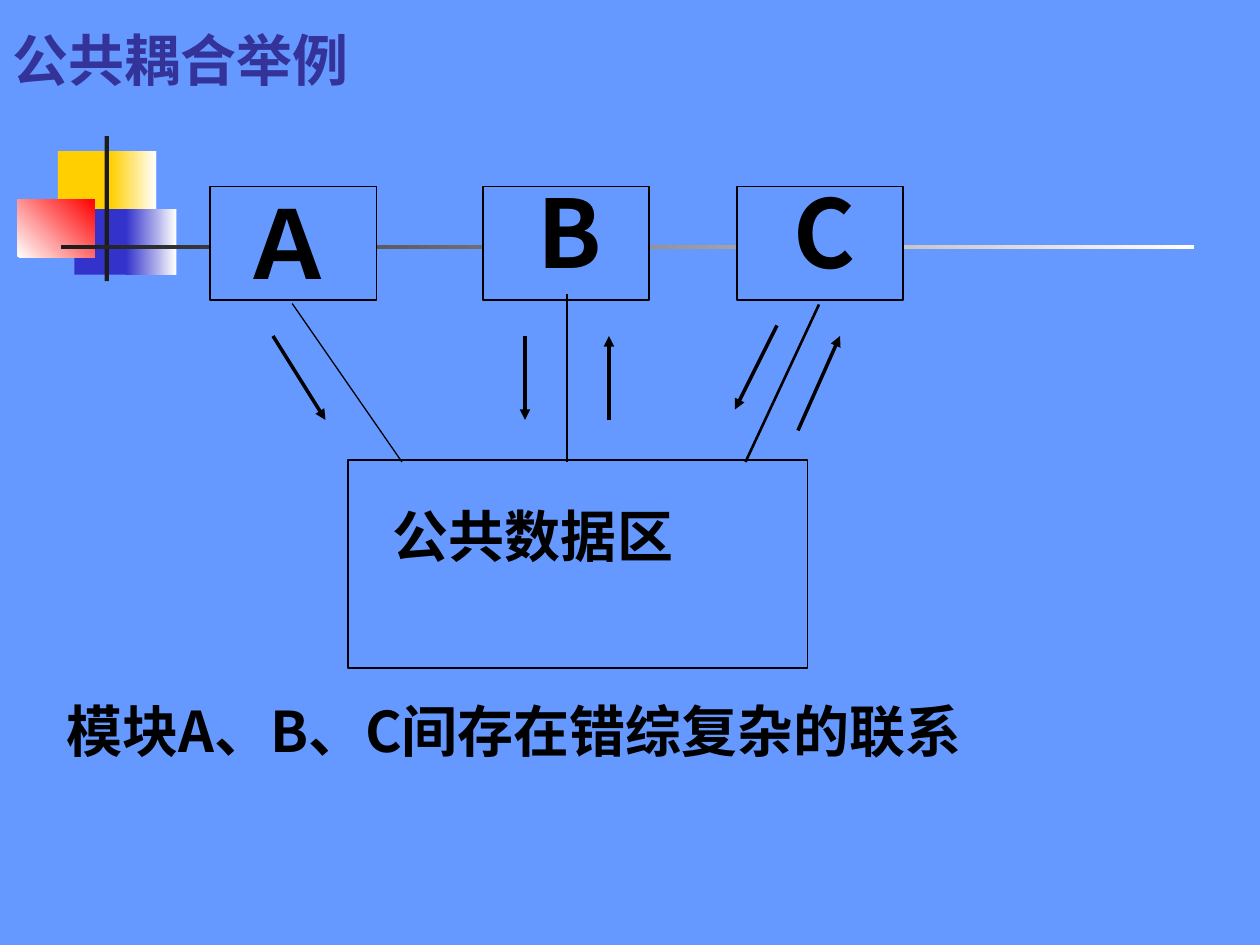
from pptx import Presentation
from pptx.dml.color import RGBColor
from pptx.enum.shapes import MSO_CONNECTOR, MSO_SHAPE
from pptx.enum.text import MSO_ANCHOR, MSO_AUTO_SIZE
from pptx.oxml.ns import qn
from pptx.util import Pt
from lxml.etree import SubElement

FONT = "Noto Sans CJK SC"
SKY = RGBColor(0x66, 0x99, 0xFF)
BLACK = RGBColor(0, 0, 0)
WHITE = RGBColor(0xFF, 0xFF, 0xFF)
CHARCOAL = RGBColor(0x1C, 0x1C, 0x1C)
YELLOW = RGBColor(0xFF, 0xCF, 0x01)
BLUE = RGBColor(0x33, 0x33, 0xCC)
RED = RGBColor(0xFF, 0, 0)
INDIGO = RGBColor(0x33, 0x33, 0x99)

# Ornament parts: position and size, first colour, optional end colour, angle
ORNAMENT = [
    ((33.1, 86.4, 34.6, 37.4), YELLOW, None, 0),
    ((63.4, 86.4, 25.9, 37.4), YELLOW, WHITE, 0),
    ((42.5, 119.5, 33.1, 37.4), BLUE, None, 0),
    ((72, 119.5, 28.8, 37.4), BLUE, WHITE, 0),
    ((10, 113.8, 44, 33.1), WHITE, RED, 45),
    ((59.8, 77.8, 2.5, 82.8), CHARCOAL, None, 0),
    ((34.6, 140.1, 648, 2.5), CHARCOAL, WHITE, 0),
]

# Modules: letter, box left, letter position and size
MODULES = [
    ("Ａ", 120.2, (130.3, 102.2, 68.4, 72)),
    ("B", 275.8, (300.2, 95.8, 41.8, 72)),
    ("C", 421.2, (446.4, 95.8, 49, 72)),
]

# Links from the modules to the data area: start, end, width
LINKS = [
    ((167, 173.5), (229.7, 264), 0.75),
    ((324, 168), (324, 264), 1.5),
    ((468, 174), (426, 264), 1.5),
]

# Directions of data flow: start, end
FLOWS = [
    ((156, 192), (186, 240)),
    ((300, 192), (300, 240)),
    ((348, 240), (348, 192)),
    ((444, 186), (420, 234)),
    ((456, 246), (480, 192)),
]


def add_rectangle(slide, bounds, color, end_color=None, angle=0, outline=None):
    shape = slide.shapes.add_shape(MSO_SHAPE.RECTANGLE, *map(Pt, bounds))
    shape.shadow.inherit = False
    if end_color is None:
        shape.fill.solid()
        shape.fill.fore_color.rgb = color
    else:
        shape.fill.gradient()
        shape.fill.gradient_angle = angle
        for stop, stop_color in zip(shape.fill.gradient_stops, (color, end_color)):
            stop.color.rgb = stop_color
    if outline is None:
        shape.line.fill.background()
    else:
        shape.line.color.rgb = outline
        shape.line.width = Pt(1)


def add_text(slide, bounds, text, size=32, color=BLACK,
             anchor=MSO_ANCHOR.TOP, left_inset=7.2):
    frame = slide.shapes.add_textbox(*map(Pt, bounds)).text_frame
    frame.word_wrap = True
    frame.auto_size = MSO_AUTO_SIZE.NONE
    frame.vertical_anchor = anchor
    frame.margin_left = Pt(left_inset)
    paragraph = frame.paragraphs[0]
    paragraph.text = text
    font = paragraph.font
    font.name, font.size, font.bold = FONT, Pt(size), True
    font.color.rgb = color
    # East Asian characters take their own typeface
    properties = paragraph._p.pPr.find(qn("a:defRPr"))
    SubElement(properties, qn("a:ea"), typeface=FONT)


def add_line(slide, start, end, width, arrow=False):
    line = slide.shapes.add_connector(
        MSO_CONNECTOR.STRAIGHT, *map(Pt, start + end))
    line.line.color.rgb = BLACK
    line.line.width = Pt(width)
    if arrow:
        SubElement(line.line._get_or_add_ln(), qn("a:tailEnd"), type="triangle")
    SubElement(line._element.spPr, qn("a:effectLst"))


def main():
    presentation = Presentation()
    presentation.slide_width, presentation.slide_height = Pt(720), Pt(540)
    slide = presentation.slides.add_slide(presentation.slide_layouts[6])
    slide.background.fill.solid()
    slide.background.fill.fore_color.rgb = SKY

    # Ornament and title
    for bounds, color, end_color, angle in ORNAMENT:
        add_rectangle(slide, bounds, color, end_color, angle)
    add_text(slide, (0, 0, 390, 67.7), "公共耦合举例",
             color=INDIGO, anchor=MSO_ANCHOR.MIDDLE)

    # Modules
    for letter, left, letter_bounds in MODULES:
        add_rectangle(slide, (left, 106.6, 95, 64.8), SKY, outline=BLACK)
        add_text(slide, letter_bounds, letter, size=54)

    # Common data area
    add_rectangle(slide, (198.7, 262.8, 262.8, 118.8), SKY, outline=BLACK)
    add_text(slide, (203, 283, 271.4, 45.4), "公共数据区", left_inset=21.6)

    # Links and data flow
    for start, end, width in LINKS:
        add_line(slide, start, end, width)
    for start, end in FLOWS:
        add_line(slide, start, end, 2, arrow=True)

    # Conclusion
    add_text(slide, (31, 394.6, 629.3, 45.4), "模块A、B、C间存在错综复杂的联系")

    presentation.save("out.pptx")


if __name__ == "__main__":
    main()
